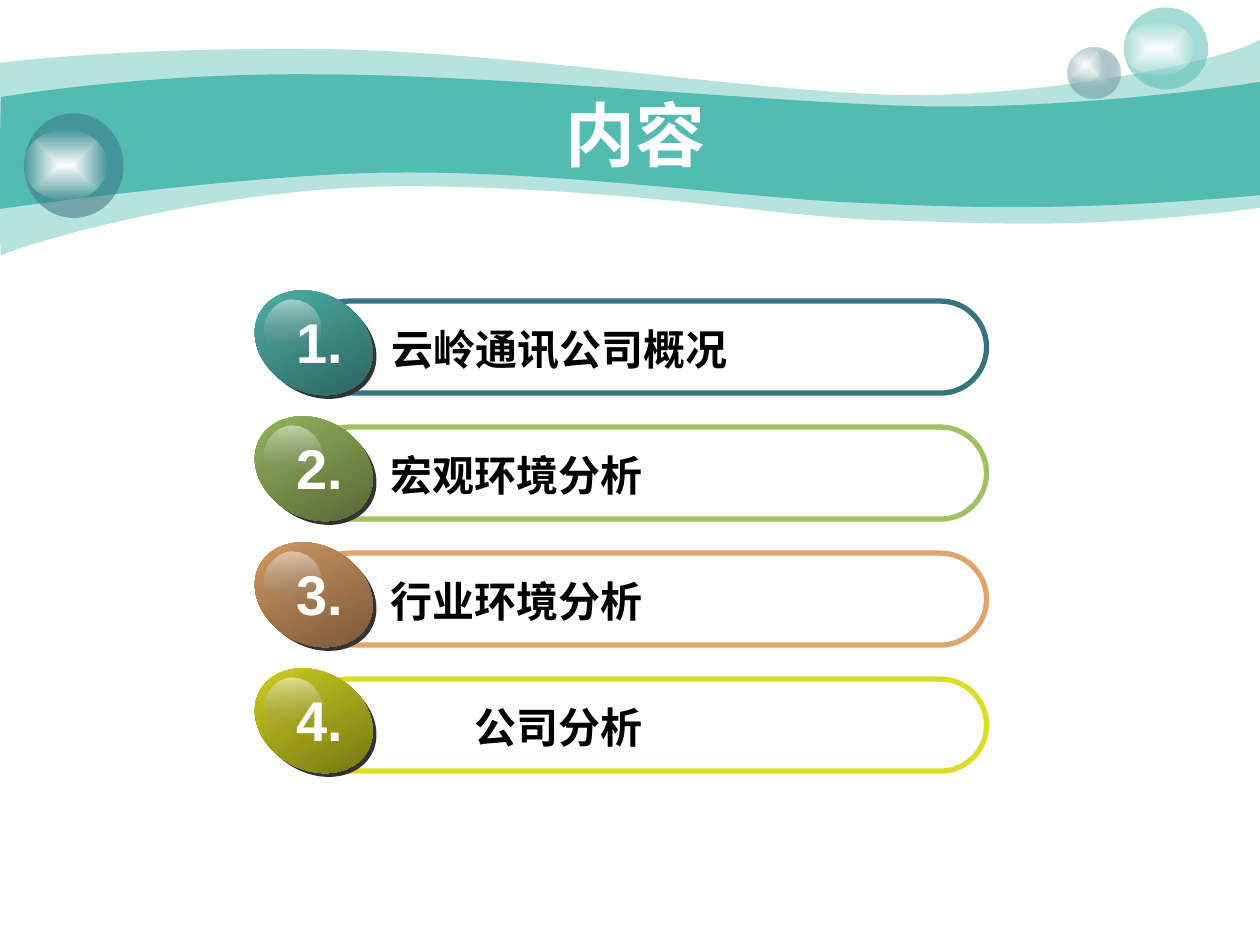
from dataclasses import dataclass
from typing import NamedTuple, Optional

from lxml.etree import SubElement
from pptx import Presentation
from pptx.dml.color import RGBColor
from pptx.enum.shapes import MSO_SHAPE
from pptx.enum.text import MSO_ANCHOR, MSO_AUTO_SIZE, PP_ALIGN
from pptx.oxml import parse_xml
from pptx.oxml.ns import nsdecls, qn
from pptx.util import Inches, Pt


@dataclass(frozen=True)
class Theme:
    font: str = "Arial"
    teal: str = "52BCB2"
    slate: str = "37737F"
    mist: str = "CCDBDE"
    green: str = "A0C264"
    orange: str = "E0A56A"
    yellow: str = "DCDC24"
    white: str = "FFFFFF"
    black: str = "000000"
    grey: str = "767676"
    shadow: str = "333333"
    title_size: int = 40
    number_size: int = 32
    label_size: int = 24
    outline: int = 3


class Box(NamedTuple):
    x: float
    y: float
    w: float
    h: float


class Stop(NamedTuple):
    color: str
    alpha: int = 100


class Band(NamedTuple):
    start: tuple
    upper: list
    corner: tuple
    lower: list
    alpha: int


class Bubble(NamedTuple):
    body: Box
    gloss: Box
    fill: list


class Item(NamedTuple):
    label: str
    line: str
    light: str
    dark: str
    x: float
    w: float


T = Theme()
RADIAL = '<a:path path="rect"><a:fillToRect l="50000" t="50000" r="50000" b="50000"/></a:path>'

BANDS = [
    Band((0, 0.5),
         [(0.24, 0.47), (1.08, 0.38), (2.47, 0.39), (3.86, 0.39), (5.75, 0.7), (6.99, 0.75),
          (8.22, 0.8), (9.8, 0.47), (10, 0.31)],
         (10, 1.65),
         [(8.58, 1.83), (7.88, 1.77), (7.05, 1.75), (6.22, 1.73), (5.15, 1.51), (3.43, 1.48),
          (1.72, 1.44), (0.04, 1.99), (0.01, 2.03), (-0.01, 2.08), (0, 0.75), (0, 0.5)], 41),
    Band((0.01, 0.77),
         [(0.02, 0.77), (1.1, 0.58), (2.48, 0.59), (3.87, 0.59), (5.96, 0.8), (7.18, 0.84),
          (8.41, 0.88), (9.76, 0.69), (10, 0.65)],
         (10, 1.55),
         [(8.53, 1.68), (7.65, 1.65), (6.82, 1.61), (5.99, 1.58), (4.47, 1.36), (3.17, 1.37),
          (2.03, 1.37), (-0.02, 1.66), (-0.01, 1.66), (0, 1.66), (0, 0.77), (0.01, 0.77)], 100),
]
BUBBLES = [
    Bubble(Box(8.47, 0.38, 0.42, 0.4), Box(8.47, 0.38, 0.28, 0.27),
           [Stop(T.mist), Stop(T.slate, 31)]),
    Bubble(Box(8.92, 0.06, 0.67, 0.65), Box(8.92, 0.17, 0.56, 0.43), [Stop(T.teal, 53)]),
    Bubble(Box(0.19, 0.9, 0.79, 0.83), Box(0.19, 1.03, 0.66, 0.56), [Stop(T.slate, 53)]),
]
ITEMS = [
    Item("云岭通讯公司概况", T.slate, T.teal, "265752", 3.01, 2.88),
    Item("宏观环境分析", T.green, T.green, "4A5A2E", 3.0, 2.2),
    Item("行业环境分析", T.orange, T.orange, "684C31", 3.0, 2.2),
    Item("公司分析", T.yellow, T.yellow, "666611", 3.67, 1.54),
]


def paint(sp, stops: list, direction: str = RADIAL) -> None:
    """Fill a shape with one colour, or a gradient when there are several stops."""
    colors = [f'<a:srgbClr val="{c}"><a:alpha val="{a * 1000}"/></a:srgbClr>' for c, a in stops]
    if len(colors) == 1:
        xml = f'<a:solidFill {nsdecls("a")}>{colors[0]}</a:solidFill>'
    else:
        last = len(colors) - 1
        gs = "".join(f'<a:gs pos="{i * 100000 // last}">{c}</a:gs>' for i, c in enumerate(colors))
        xml = (f'<a:gradFill {nsdecls("a")} rotWithShape="0"><a:gsLst>{gs}</a:gsLst>'
               f'{direction}</a:gradFill>')
    sp.fill.background()
    spPr = sp.element.spPr
    spPr.replace(spPr.find(qn("a:noFill")), parse_xml(xml))


def linear(degrees: int) -> str:
    """Return the XML of a linear gradient direction."""
    return f'<a:lin ang="{degrees * 60000}" scaled="0"/>'


def bend(lines: list) -> None:
    """Turn each three line segments into one cubic curve."""
    for i in range(0, len(lines), 3):
        first, *others = lines[i:i + 3]
        curve = SubElement(first.getparent(), qn("a:cubicBezTo"))
        first.addprevious(curve)
        for line in (first, *others):
            curve.append(line[0])
            line.getparent().remove(line)


def draw_band(shapes, band: Band) -> None:
    """Draw one wavy header band."""
    points = [tuple(map(Inches, pt)) for pt in (*band.upper, band.corner, *band.lower)]
    builder = shapes.build_freeform(*map(Inches, band.start))
    builder.add_line_segments(points, close=True)
    sp = builder.convert_to_shape()
    lines = list(sp.element.iter(qn("a:lnTo")))
    split = len(band.upper)
    bend(lines[:split])
    bend(lines[split + 1:])
    sp.shadow.inherit = False
    sp.line.fill.background()
    paint(sp, [Stop(T.teal, band.alpha)])


def draw_ellipse(shapes, box: Box, stops: list, direction: str = RADIAL, turn: float = 0) -> None:
    """Draw a borderless ellipse."""
    sp = shapes.add_shape(MSO_SHAPE.OVAL, *map(Inches, box))
    sp.shadow.inherit = False
    sp.line.fill.background()
    sp.rotation = turn
    paint(sp, stops, direction)


def style_text(tf, text: str, size: int, color: str, align: Optional[PP_ALIGN] = None) -> None:
    """Write one bold paragraph."""
    p = tf.paragraphs[0]
    p.text = text
    p.alignment = align
    p.font.name = T.font
    p.font.size = Pt(size)
    p.font.bold = True
    p.font.color.rgb = RGBColor.from_string(color)


def draw_text(shapes, box: Box, *style) -> None:
    """Add an unwrapped text box."""
    tf = shapes.add_textbox(*map(Inches, box)).text_frame
    tf.word_wrap = False
    tf.auto_size = MSO_AUTO_SIZE.SHAPE_TO_FIT_TEXT
    style_text(tf, *style)


def draw_bubble(shapes, bubble: Bubble) -> None:
    """Draw a translucent bubble with its gloss."""
    group = shapes.add_group_shape().shapes
    draw_ellipse(group, bubble.body, bubble.fill)
    draw_ellipse(group, bubble.gloss, [Stop(T.white), Stop(T.white, 0)])


def draw_item(shapes, number: int, item: Item) -> None:
    """Draw one numbered agenda row."""
    y = 1.33 + number
    group = shapes.add_group_shape().shapes
    pill = group.add_shape(MSO_SHAPE.ROUNDED_RECTANGLE,
                           *map(Inches, (2.4, y + 0.06, 5.43, 0.73)))
    pill.adjustments[0] = 0.5
    pill.shadow.inherit = False
    pill.fill.background()
    pill.line.color.rgb = RGBColor.from_string(item.line)
    pill.line.width = Pt(T.outline)
    draw_ellipse(group, Box(2.03, y + 0.03, 0.98, 0.78), [Stop(T.shadow)], turn=29.3)
    draw_ellipse(group, Box(2, y, 0.98, 0.78), [Stop(item.light), Stop(item.dark)],
                 linear(61), 29.3)
    draw_ellipse(group, Box(2.1, y + 0.05, 0.44, 0.44), [Stop(T.white, 50), Stop(T.grey, 0)],
                 linear(90))
    draw_text(group, Box(item.x, y + 0.19, item.w, 0.5), item.label, T.label_size, T.black)
    draw_text(group, Box(2.25, y + 0.06, 0.57, 0.64), f"{number}.", T.number_size, T.white,
              PP_ALIGN.CENTER)


def main() -> None:
    """Build the agenda slide."""
    prs = Presentation()
    prs.slide_width, prs.slide_height = Inches(10), Inches(7.5)
    s = prs.slides.add_slide(prs.slide_layouts[5])
    for band in BANDS:
        draw_band(s.shapes, band)
    for bubble in BUBBLES:
        draw_bubble(s.shapes, bubble)
    title = s.shapes.title
    title.left, title.top, title.width, title.height = map(Inches, (1, 0.75, 8.08, 0.62))
    title.text_frame.vertical_anchor = MSO_ANCHOR.MIDDLE
    title.text_frame.auto_size = MSO_AUTO_SIZE.NONE
    style_text(title.text_frame, "内容", T.title_size, T.white, PP_ALIGN.CENTER)
    s.shapes.element.append(title.element)
    for number, item in enumerate(ITEMS, 1):
        draw_item(s.shapes, number, item)
    prs.save("out.pptx")


if __name__ == "__main__":
    main()
